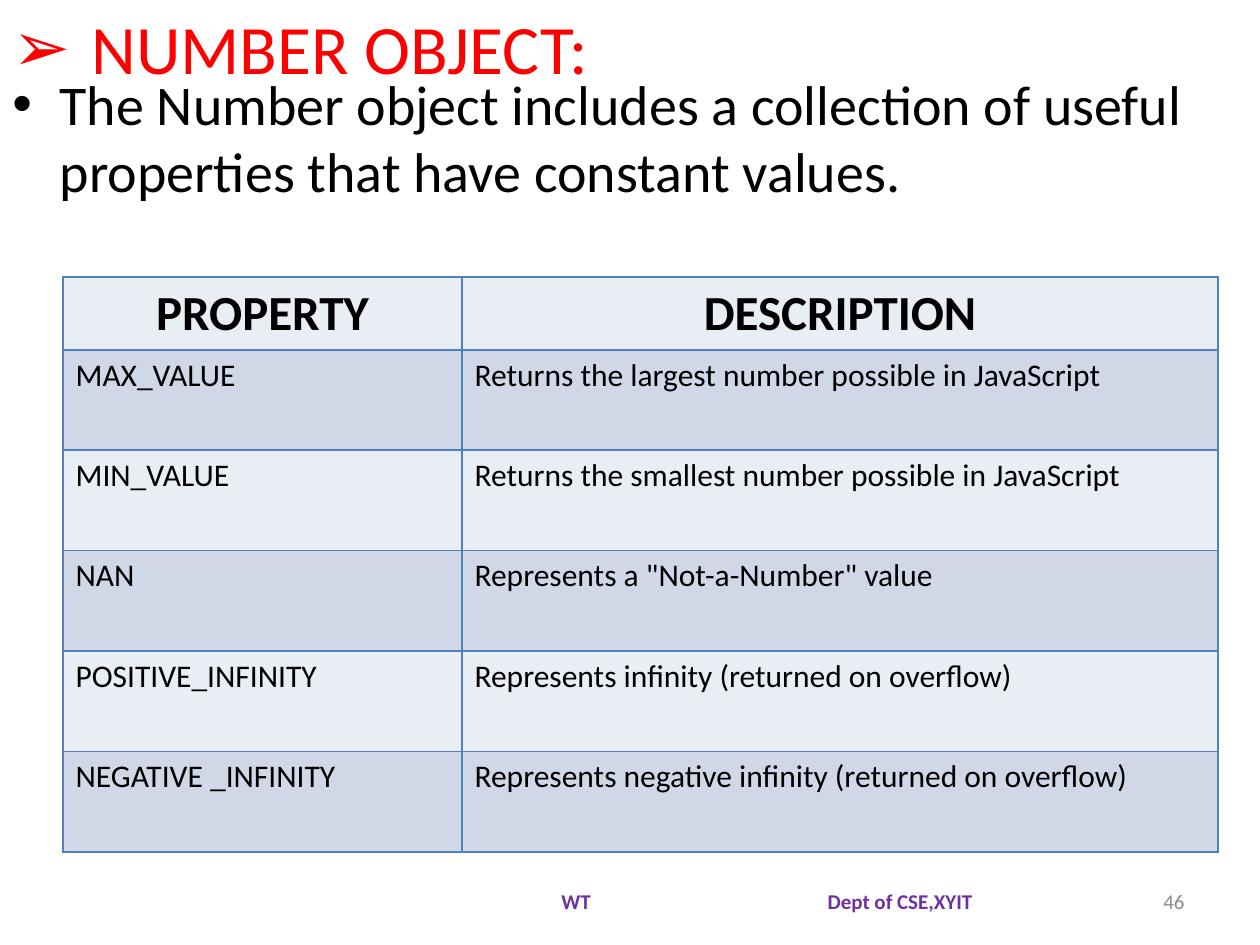
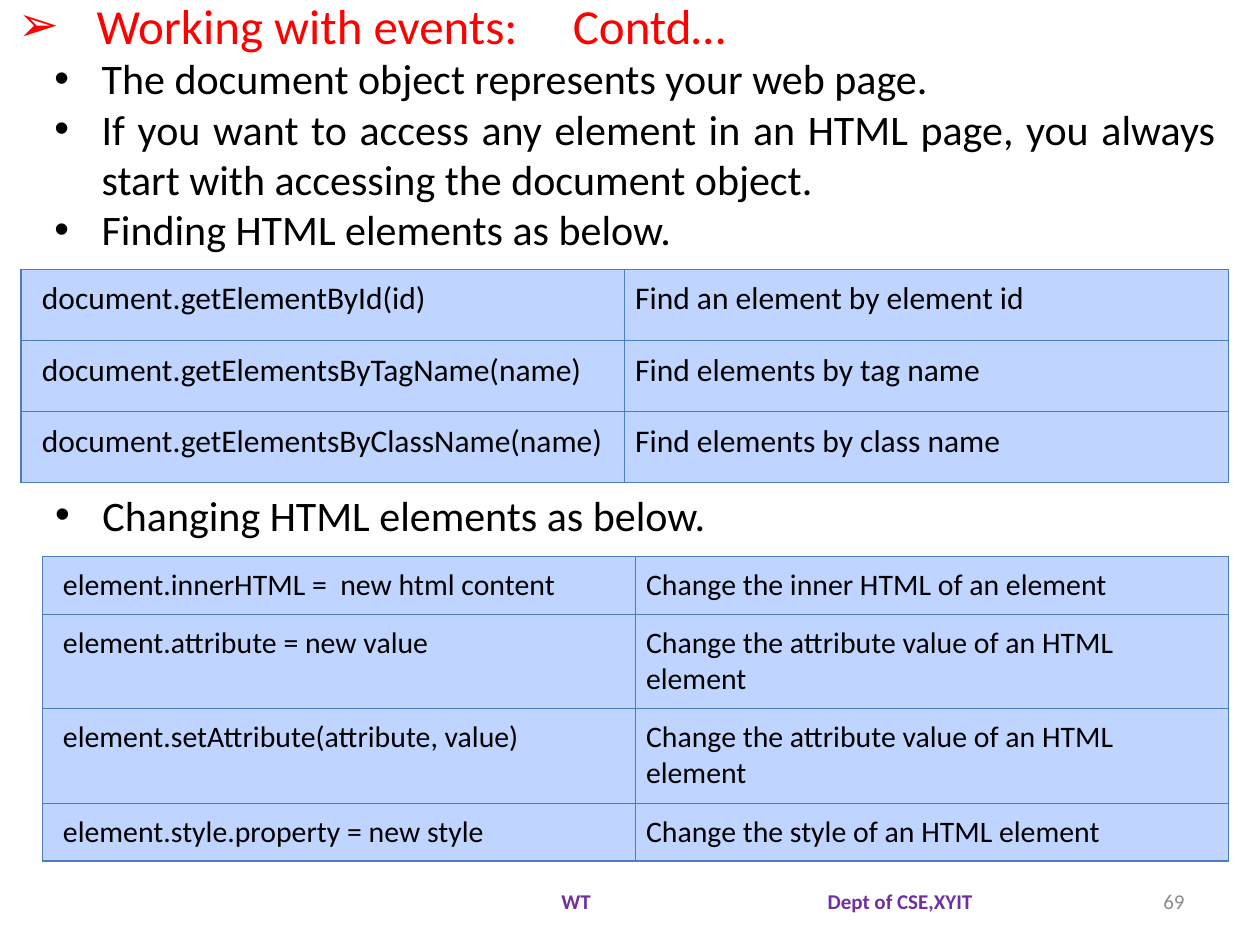
from lxml import etree
from pptx import Presentation
from pptx.dml.color import RGBColor
from pptx.enum.text import MSO_ANCHOR, MSO_AUTO_SIZE, PP_ALIGN
from pptx.oxml.ns import qn
from pptx.util import Pt

LEFT, CENTER = PP_ALIGN.LEFT, PP_ALIGN.CENTER
RIGHT, JUSTIFY = PP_ALIGN.RIGHT, PP_ALIGN.JUSTIFY
TOP, MIDDLE = MSO_ANCHOR.TOP, MSO_ANCHOR.MIDDLE
NO_AUTOFIT = MSO_AUTO_SIZE.NONE
TITLE_ONLY = 5

FONT = "Calibri"
BLACK, RED, PURPLE, GRAY = "000000", "FF0000", "7030A0", "8C8C8C"
PALE, BAND, SKY = "E9EDF4", "D0D8E8", "BFD5FF"
BLUE, DEEP_BLUE = "4F81BD", "4B7EBC"


def rgb(value):
    """Turn a hex string into a colour."""
    return RGBColor.from_string(value)


class Deck:
    """Hold the shared style and the slide being built."""

    def __init__(self):
        """Start an empty 10 by 7.5 inch presentation."""
        self.presentation = Presentation()
        self.presentation.slide_width = Pt(720)
        self.presentation.slide_height = Pt(540)
        self.slide = None

    def add_slide(self, number):
        """Add a slide with its footer and page number."""
        layout = self.presentation.slide_layouts[TITLE_ONLY]
        self.slide = self.presentation.slides.add_slide(layout)
        page = self.text_box(516, 500.5, 168, 28.5, MIDDLE)
        self.fill_text(page.paragraphs[0], [number], 12, GRAY, RIGHT)
        footer = self.text_box(246, 500.5, 408, 28.5, MIDDLE)
        footer.margin_right = Pt(30.5)
        self.fill_text(footer.paragraphs[0], ["WT", "Dept of CSE,XYIT"], 12, PURPLE,
                       CENTER, bold=True, gap=132.6)

    def text_box(self, left, top, width, height, anchor=TOP):
        """Add a wrapping text box and return its text frame."""
        frame = self.slide.shapes.add_textbox(
            Pt(left), Pt(top), Pt(width), Pt(height)).text_frame
        frame.word_wrap = True
        frame.vertical_anchor = anchor
        return frame

    def fill_text(self, paragraph, parts, size, color, align=LEFT, bold=False, gap=0):
        """Fill a paragraph with parts set apart by one widened space."""
        paragraph.alignment = align
        font = paragraph.font
        font.name, font.size, font.bold = FONT, Pt(size), bold
        font.color.rgb = rgb(color)
        for index, part in enumerate(parts):
            if index:
                space = paragraph.add_run()
                space.text = " "
                space._r.get_or_add_rPr().set("spc", str(round(gap * 100)))
            paragraph.add_run().text = part

    def bullet(self, paragraph, mark, indent):
        """Give a paragraph a hanging bullet."""
        properties = paragraph._p.get_or_add_pPr()
        properties.set("marL", str(Pt(indent)))
        properties.set("indent", str(-Pt(indent)))
        etree.SubElement(properties, qn("a:buFont"), typeface="Arial")
        etree.SubElement(properties, qn("a:buChar"), char=mark)

    def title(self, parts, left, top, width, height, size, gap=0):
        """Place and format the title placeholder."""
        title = self.slide.shapes.title
        title.left, title.top = Pt(left), Pt(top)
        title.width, title.height = Pt(width), Pt(height)
        frame = title.text_frame
        frame.auto_size = NO_AUTOFIT
        frame.vertical_anchor = MIDDLE
        heading = frame.paragraphs[0]
        self.bullet(heading, "➢", 45)
        self.fill_text(heading, parts, size, RED, gap=gap)

    def bullets(self, lines, left, top, width, height, size, align=LEFT):
        """Add a bulleted list."""
        frame = self.text_box(left, top, width, height)
        for index, line in enumerate(lines):
            item = frame.add_paragraph() if index else frame.paragraphs[0]
            self.bullet(item, "•", 27)
            self.fill_text(item, [line], size, BLACK, align)

    def borders(self, cell, color, weight):
        """Draw the four borders of a cell."""
        properties = cell._tc.get_or_add_tcPr()
        for side in ("lnL", "lnR", "lnT", "lnB"):
            line = etree.SubElement(properties, qn(f"a:{side}"), w=str(Pt(weight)))
            fill = etree.SubElement(line, qn("a:solidFill"))
            etree.SubElement(fill, qn("a:srgbClr"), val=color)

    def table(self, rows, left, top, widths, heights, size, fills, border, weight,
              header_size=None, insets=None):
        """Add a table whose row fills alternate."""
        table = self.slide.shapes.add_table(
            len(rows), len(widths), Pt(left), Pt(top),
            Pt(sum(widths)), Pt(sum(heights))).table
        table.first_row = table.horz_banding = False
        for column, width in zip(table.columns, widths):
            column.width = Pt(width)
        for r, (texts, height) in enumerate(zip(rows, heights)):
            table.rows[r].height = Pt(height)
            is_header = header_size and r == 0
            for c, text in enumerate(texts):
                cell = table.cell(r, c)
                if insets:
                    cell.margin_left = Pt(insets[c])
                    cell.margin_right = cell.margin_top = cell.margin_bottom = Pt(6)
                self.borders(cell, border, weight)
                cell.fill.solid()
                cell.fill.fore_color.rgb = rgb(fills[r % len(fills)])
                self.fill_text(cell.text_frame.paragraphs[0], [text],
                               header_size if is_header else size, BLACK,
                               CENTER if is_header else LEFT, bold=bool(is_header))


NUMBER_PROPERTIES = [
    ("PROPERTY", "DESCRIPTION"),
    ("MAX_VALUE", "Returns the largest number possible in JavaScript"),
    ("MIN_VALUE", "Returns the smallest number possible in JavaScript"),
    ("NAN", 'Represents a "Not-a-Number" value'),
    ("POSITIVE_INFINITY", "Represents infinity (returned on overflow)"),
    ("NEGATIVE _INFINITY", "Represents negative infinity (returned on overflow)"),
]
FINDING_METHODS = [
    ("document.getElementById(id)", "Find an element by element id"),
    ("document.getElementsByTagName(name)", "Find elements by tag name"),
    ("document.getElementsByClassName(name)", "Find elements by class name"),
]
CHANGING_METHODS = [
    ("element.innerHTML =\u00a0\u00a0new html content",
     "Change the inner HTML of an element"),
    ("element.attribute = new value",
     "Change the attribute value of an HTML element"),
    ("element.setAttribute(attribute, value)",
     "Change the attribute value of an HTML element"),
    ("element.style.property = new style", "Change the style of an HTML element"),
]

deck = Deck()

deck.add_slide("46")
deck.title(["NUMBER OBJECT:"], 0, 12, 720, 30, 39.6)
deck.bullets(["The Number object includes a collection of useful properties "
              "that have constant values."], 0, 36, 720, 486, 32)
deck.table(NUMBER_PROPERTIES, 36, 158.4, [228, 432], [41.5] + [57.4] * 5, 18,
           [PALE, BAND], BLUE, 1, header_size=28)

deck.add_slide("69")
deck.title(["Working with events:", "Contd…"], 3, 1, 648, 26, 28, gap=25.3)
deck.bullets(["The document object represents your web page.",
              "If you want to access any element in an HTML page, you always "
              "start with accessing the document object.",
              "Finding HTML elements as below."], 24, 26.6, 678, 124, 24, JUSTIFY)
deck.table(FINDING_METHODS, 12, 154, [345, 345], [40.6] * 3, 18,
           [SKY], DEEP_BLUE, 0.75, insets=[12, 6])
deck.bullets(["Changing HTML elements as below."], 24.5, 276, 678, 36, 24, JUSTIFY)
deck.table(CHANGING_METHODS, 24.5, 318, [338.7, 338.7], [33, 54, 54, 33], 17,
           [SKY], DEEP_BLUE, 0.75, insets=[11.5, 6])

deck.presentation.save("out.pptx")
